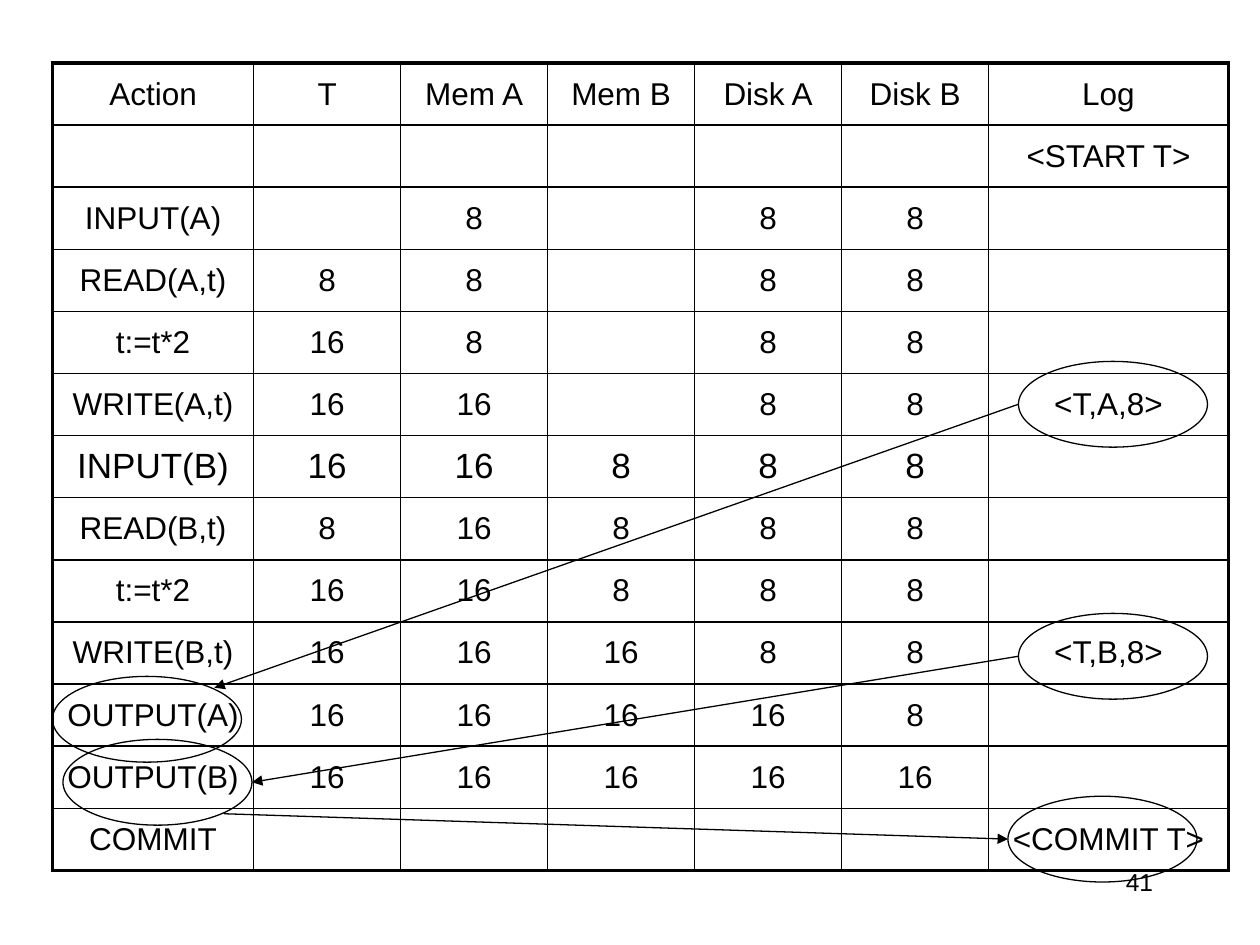
import pptx
import pptx.util
import pptx.dml.color
import pptx.enum.shapes
import pptx.enum.text
import pptx.oxml
import pptx.oxml.ns

Pt = pptx.util.Pt
ALIGN = pptx.enum.text.PP_ALIGN
COLORS = {"ink": "000000"}
FONT = "Arial"
THIN, THICK = 1, 2.25
OVAL = (108, 49)
WIDTHS = [115] + [84] * 5 + [137]
BIG_ROW = 6
ROWS = [
    "Action|T|Mem A|Mem B|Disk A|Disk B|Log",
    "||||||<START T>",
    "INPUT(A)||8||8|8|",
    "READ(A,t)|8|8||8|8|",
    "t:=t*2|16|8||8|8|",
    "WRITE(A,t)|16|16||8|8|<T,A,8>",
    "INPUT(B)|16|16|8|8|8|",
    "READ(B,t)|8|16|8|8|8|",
    "t:=t*2|16|16|8|8|8|",
    "WRITE(B,t)|16|16|16|8|8|<T,B,8>",
    "OUTPUT(A)|16|16|16|16|8|",
    "OUTPUT(B)|16|16|16|16|16|",
    "COMMIT||||||<COMMIT T>",
]
# Ovals (left, top) and arrow (from, to), measured from the table corner
LINKS = [
    ([(0, 350.5), (552, 170.5)], ((552, 195), (92.5, 357))),
    ([(552, 314.5), (6, 386.5)], ((552, 339), (114, 411))),
    ([(546, 419)], ((98, 429), (546, 443.5))),
]


def ink():
    return pptx.dml.color.RGBColor.from_string(COLORS["ink"])


def style(para, size, align):
    para.alignment = align
    para.font.size = Pt(size)
    para.font.name = FONT
    para.font.color.rgb = ink()
    for run in para.runs:
        run.font.size = Pt(size)
        run.font.name = FONT
        run.font.color.rgb = ink()


def edge(cell, side, width):
    """Draw one cell border; side is L, R, T or B."""
    cell._tc.get_or_add_tcPr().append(pptx.oxml.parse_xml(
        f'<a:ln{side} {pptx.oxml.ns.nsdecls("a")} w="{int(Pt(width))}">'
        f'<a:solidFill><a:srgbClr val="{COLORS["ink"]}"/></a:solidFill>'
        f'</a:ln{side}>'))


def add_log(slide, x, y, w, h):
    """Place the table of actions, values and log records."""
    last, end = len(ROWS) - 1, len(WIDTHS) - 1
    table = slide.shapes.add_table(
        last + 1, end + 1, Pt(x), Pt(y), Pt(w), Pt(h)).table
    table.first_row = table.horz_banding = False
    for col, width in zip(table.columns, WIDTHS):
        col.width = Pt(width)
    for r, line in enumerate(ROWS):
        table.rows[r].height = Pt(h / len(ROWS))
        for c, text in enumerate(line.split("|")):
            cell = table.cell(r, c)
            outer = {"L": c == 0, "R": c == end, "T": r == 0, "B": r == last}
            for side, out in outer.items():
                edge(cell, side, THICK if out else THIN)
            cell.fill.background()
            cell.vertical_anchor = pptx.enum.text.MSO_ANCHOR.MIDDLE
            cell.text_frame.text = text
            style(cell.text_frame.paragraphs[0],
                  20 if r == BIG_ROW else 18, ALIGN.CENTER)


def add_link(slide, x, y, ovals, arrow):
    """Place a group of ovals and the arrow between them."""
    shapes = slide.shapes.add_group_shape().shapes
    for left, top in ovals:
        oval = shapes.add_shape(
            pptx.enum.shapes.MSO_SHAPE.OVAL,
            Pt(x + left), Pt(y + top), Pt(OVAL[0]), Pt(OVAL[1]))
        oval.shadow.inherit = False
        oval.fill.background()
        oval.line.color.rgb = ink()
        oval.line.width = Pt(0.75)
    (x1, y1), (x2, y2) = arrow
    line = shapes.add_connector(
        pptx.enum.shapes.MSO_CONNECTOR.STRAIGHT,
        Pt(x + x1), Pt(y + y1), Pt(x + x2), Pt(y + y2))
    line.line.color.rgb = ink()
    line.line.width = Pt(0.75)
    space = pptx.oxml.ns.nsdecls("a")
    line.line._get_or_add_ln().append(
        pptx.oxml.parse_xml(f'<a:tailEnd {space} type="triangle"/>'))
    line._element.spPr.append(pptx.oxml.parse_xml(f'<a:effectLst {space}/>'))


def add_page(slide, x, y, w, h):
    frame = slide.shapes.add_textbox(Pt(x), Pt(y), Pt(w), Pt(h)).text_frame
    frame.word_wrap = True
    frame.text = "41"
    style(frame.paragraphs[0], 14, ALIGN.RIGHT)


def main():
    deck = pptx.Presentation()
    deck.slide_width, deck.slide_height = Pt(720), Pt(540)
    slide = deck.slides.add_slide(deck.slide_layouts[6])
    x, y = 30, 36
    add_page(slide, 516, 492, 150, 36)
    add_log(slide, x, y, sum(WIDTHS), 461.5)
    for ovals, arrow in LINKS:
        add_link(slide, x, y, ovals, arrow)
    deck.save("out.pptx")


if __name__ == "__main__":
    main()
